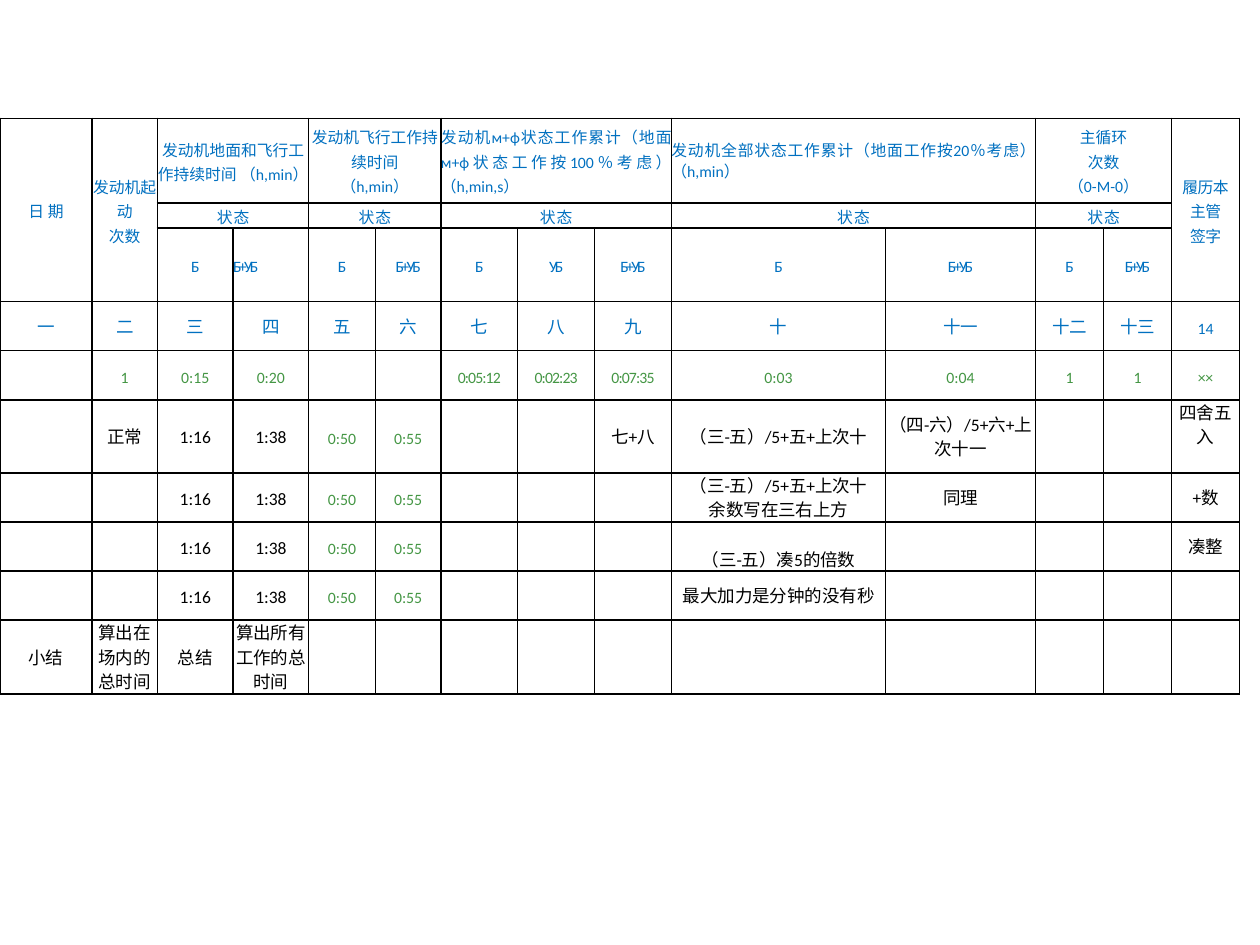
import lxml.etree
import pptx
import pptx.dml.color
import pptx.enum.text
import pptx.oxml.ns
import pptx.util
from pptx.util import Inches

COLORS = {"heading": "0070C0", "example": "449644", "body": "000000",
          "border": "000000", "paper": "FFFFFF"}
ALIGN = pptx.enum.text.PP_ALIGN
ANCHOR = pptx.enum.text.MSO_ANCHOR

deck = pptx.Presentation()
deck.slide_width, deck.slide_height = Inches(10), Inches(7.5)
page = deck.slides.add_slide(deck.slide_layouts[6])

# Table contents, one list per row; a line break starts a new paragraph
state, full, both = "状 态", "Б", "Б+УБ"
times = ["1:16", "1:38", "0:50", "0:55"]
rows = [
    ["日 期", "发动机起动\n次数", "发动机地面和飞行工作持续时间 （h,min）", "",
     "发动机飞行工作持续时间\n（h,min）", "",
     "发动机м+ф状态工作累计（地面м+ф状态工作按100％考虑）（h,min,s）", "", "",
     "发动机全部状态工作累计（地面工作按20％考虑） （h,min）", "",
     "主循环\n次数\n（0-M-0）", "", "履历本\n主管\n签字"],
    ["", "", state, "", state, "", state, "", "", state, "", state, "", ""],
    ["", "", full, both, full, both, full, "УБ", both, full, both, full, both, ""],
    ["一", "二", "三", "四", "五", "六", "七", "八", "九", "十", "十一", "十二",
     "十三", "14"],
    ["", "1", "0:15", "0:20", "", "", "0:05:12", "0:02:23", "0:07:35", "0:03",
     "0:04", "1", "1", "××"],
    ["", "正常", *times, "", "", "七+八", "（三-五）/5+五+上次十",
     "（四-六）/5+六+上次十一", "", "", "四舍五入"],
    ["", "", *times, "", "", "", "（三-五）/5+五+上次十\n余数写在三右上方", "同理",
     "", "", "+数"],
    ["", "", *times, "", "", "", "（三-五）凑5的倍数", "", "", "", "凑整"],
    ["", "", *times, "", "", "", "最大加力是分钟的没有秒", "", "", "", ""],
    ["小结", "算出在场内的总时间", "总结", "算出所有工作的总时间"] + [""] * 10,
]
widths = [0.73, 0.52, 0.6, 0.6, 0.53, 0.52, 0.61, 0.61, 0.61, 1.7, 1.19,
          0.54, 0.54, 0.54]
heights = [0.67, 0.2, 0.58, 0.39, 0.39, 0.58, 0.39, 0.39, 0.39, 0.58]

# Exceptions to the centred, middle-anchored cells
justified = {(0, 6), (0, 9), (2, 3)}
anchors = {(5, 13): ANCHOR.TOP, (7, 9): ANCHOR.BOTTOM}
spacing = {state: -70, both: -150, "УБ": -150, "××": -30, "履历本\n主管\n签字": -30,
           "0:05:12": -50, "0:02:23": -50, "0:07:35": -50}

frame = page.shapes.add_table(len(rows), len(widths), Inches(0), Inches(0.94),
                              Inches(sum(widths)), Inches(sum(heights)))
table = frame.table
table.first_row = table.horz_banding = False
for column, width in zip(table.columns, widths):
    column.width = Inches(width)
for row, height in zip(table.rows, heights):
    row.height = Inches(height)


def add_borders(cell):
    properties = cell._tc.get_or_add_tcPr()
    for position, side in enumerate(("lnL", "lnR", "lnT", "lnB")):
        line = lxml.etree.Element(pptx.oxml.ns.qn("a:" + side), w="12700")
        solid = lxml.etree.SubElement(line, pptx.oxml.ns.qn("a:solidFill"))
        lxml.etree.SubElement(solid, pptx.oxml.ns.qn("a:srgbClr"),
                              val=COLORS["border"])
        properties.insert(position, line)


# Fill and format the cells
for r, texts in enumerate(rows):
    for c, text in enumerate(texts):
        cell = table.cell(r, c)
        cell.text = text
        cell.margin_left = cell.margin_right = 0
        cell.margin_top = cell.margin_bottom = 0
        cell.vertical_anchor = anchors.get((r, c), ANCHOR.MIDDLE)
        if r in (5, 6) and c < 8:
            cell.fill.solid()
            cell.fill.fore_color.rgb = pptx.dml.color.RGBColor.from_string(COLORS["paper"])
        else:
            cell.fill.background()
        add_borders(cell)

        if r < 4:
            role, size = "heading", 10 if r == 3 and c < 13 else 9
        elif r == 4 or (r < 9 and c in (4, 5)):
            role, size = "example", 9
        else:
            role, size = "body", 10
        for para in cell.text_frame.paragraphs:
            para.alignment = ALIGN.JUSTIFY if (r, c) in justified else ALIGN.CENTER
            para.line_spacing = pptx.util.Pt(12 if (r, c) == (0, 9) else 14)
            para.font.name = "Calibri"
            para.font.size = pptx.util.Pt(size)
            para.font.color.rgb = pptx.dml.color.RGBColor.from_string(COLORS[role])
            if not para.runs:
                lxml.etree.SubElement(para._p, pptx.oxml.ns.qn("a:endParaRPr"),
                                      sz=str(size * 100))
            for span in para.runs:
                if text in spacing:
                    span._r.get_or_add_rPr().set("spc", str(spacing[text]))

# Merge the heading cells
for c in (0, 1, 13):
    table.cell(0, c).merge(table.cell(2, c))
for first, last in ((2, 3), (4, 5), (6, 8), (9, 10), (11, 12)):
    for r in (0, 1):
        table.cell(r, first).merge(table.cell(r, last))

deck.save("out.pptx")
